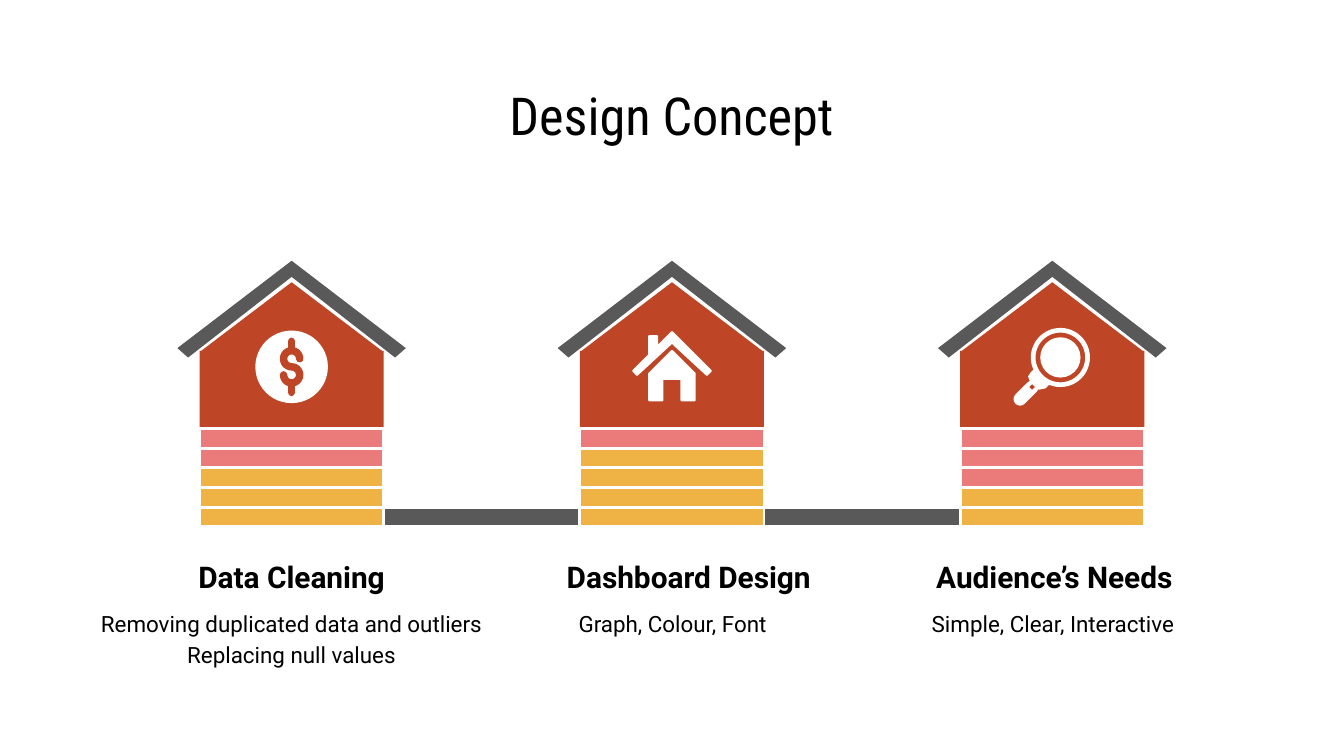
from math import cos, sin, radians
from pptx import Presentation
from pptx.util import Inches, Pt
from pptx.dml.color import RGBColor
from pptx.enum.shapes import MSO_SHAPE as Shape, MSO_CONNECTOR as Link
from pptx.enum.text import PP_ALIGN as Align, MSO_ANCHOR as Anchor
from pptx.oxml import parse_xml
from pptx.oxml.ns import nsdecls

THEME = {
    "white": "FFFFFF", "black": "000000", "gray": "595959",
    "rust": "BE4626", "gold": "EEB245", "pink": "EB7B7B",
    "font": "Roboto", "narrow": "Roboto Condensed",
    "title": 28, "head": 16, "body": 12, "rule": 1.5,
}
TITLE = "Design Concept"
HOUSES = [
    {"icon": "coin", "pink": 2, "head": "Data Cleaning", "head_box": (1.19, 1.96),
     "body": ["Removing duplicated data and outliers", "Replacing null values"],
     "body_box": (0.53, 3.28)},
    {"icon": "home", "pink": 1, "head": "Dashboard Design", "head_box": (4.02, 2.21),
     "body": ["Graph, Colour, Font"], "body_box": (3.53, 2.95)},
    {"icon": "lens", "pink": 3, "head": "Audience’s Needs", "head_box": (6.62, 2.45),
     "body": ["Simple, Clear, Interactive"], "body_box": (6.36, 2.95)},
]
MID, STEP = 5, 2.83
WALL, TOP, BASE, FLOORS = 1.37, 3.19, 3.92, 5
FLOOR = (BASE - TOP) / FLOORS
ROOF = [(0, 1.94), (-0.85, 2.59), (-0.77, 2.66), (0, 2.06), (0.77, 2.66), (0.85, 2.59)]
HOME = [
    [(0, 2.61), (0.17, 2.78), (0.17, 2.98), (0.07, 2.98), (0.07, 2.82),
     (-0.07, 2.82), (-0.07, 2.98), (-0.17, 2.98), (-0.17, 2.78)],
    [(0, 2.47), (0.29, 2.76), (0.26, 2.79), (0, 2.55), (-0.26, 2.79),
     (-0.29, 2.76), (-0.17, 2.64), (-0.17, 2.5), (-0.11, 2.5), (-0.11, 2.58)],
]
COLLAR = [(-0.14, 2.75), (-0.16, 2.77), (-0.18, 2.8), (-0.17, 2.83), (-0.1, 2.9),
          (-0.05, 2.89), (-0.01, 2.85)]


def tint(name):
    return RGBColor.from_string(THEME[name])


def paint(item, fill, line=None, width=THEME["rule"]):
    item.shadow.inherit = False
    if fill:
        item.fill.solid()
        item.fill.fore_color.rgb = tint(fill)
    else:
        item.fill.background()
    if line:
        item.line.color.rgb = tint(line)
        item.line.width = Pt(width)
    else:
        item.line.fill.background()


def form(shapes, kind, x, y, w, h, fill, line=None):
    item = shapes.add_shape(kind, *map(Inches, (x, y, w, h)))
    paint(item, fill, line)
    return item


def disc(shapes, x, y, r, fill, kind=Shape.OVAL):
    return form(shapes, kind, x - r, y - r, 2 * r, 2 * r, fill)


def curve(shapes, dots, x, fill, line=None, width=1, close=True):
    spots = [(Inches(x + dx), Inches(y)) for dx, y in dots]
    pen = shapes.build_freeform(*spots[0], scale=1)
    pen.add_line_segments(spots[1:], close=close)
    item = pen.convert_to_shape()
    paint(item, fill, line, width)
    if line:
        soften(item)


def soften(item):
    edge = item.line._get_or_add_ln()
    edge.set("cap", "rnd")
    edge.append(parse_xml(f"<a:round {nsdecls('a')}/>"))


def stroke(shapes, x1, y1, x2, y2, ink, width):
    item = shapes.add_connector(Link.STRAIGHT, *map(Inches, (x1, y1, x2, y2)))
    item.line.color.rgb = tint(ink)
    item.line.width = Pt(width)
    soften(item)
    item._element.spPr.append(parse_xml(f"<a:effectLst {nsdecls('a')}/>"))


def coin(shapes, x):
    disc(shapes, x, 2.73, 0.27, "white")
    bend = [(0.06 * cos(radians(a)), 2.67 - 0.06 * sin(radians(a))) for a in range(0, 271, 15)]
    bend += [(-dx, 5.46 - y) for dx, y in reversed(bend)]
    curve(shapes, bend, x, None, "rust", 4, False)
    for y in (2.54, 2.86):
        stroke(shapes, x, y, x, y + 0.06, "rust", 4)


def home(shapes, x):
    for part in HOME:
        curve(shapes, part, x, "white", "white")


def lens(shapes, x):
    hub = x + 0.06
    ring = disc(shapes, hub, 2.66, 0.22, "white", Shape.DONUT)
    ring.adjustments[0] = 0.08
    disc(shapes, hub, 2.66, 0.15, "white")
    curve(shapes, COLLAR, x, "white")
    stroke(shapes, x - 0.24, 2.97, x - 0.15, 2.88, "white", 7)
    disc(shapes, x - 0.15, 2.88, 0.02, "rust", Shape.DIAMOND)


def text(shapes, lines, x, y, w, h, size, font="font", bold=False, space=True):
    box = shapes.add_textbox(*map(Inches, (x, y, w, h)))
    frame = box.text_frame
    frame.word_wrap = True
    frame.margin_left = frame.margin_right = Inches(0.1)
    frame.margin_top = frame.margin_bottom = Inches(0.1)
    frame.text = "\n".join(lines)
    for para in frame.paragraphs:
        para.alignment = Align.CENTER
        if space:
            para.line_spacing = 1.15
        for run in para.runs:
            run.font.name = THEME[font]
            run.font.size = Pt(THEME[size])
            run.font.bold = bold
            run.font.color.rgb = tint("black")
    if space:
        para.space_after = Pt(16)
    return frame


def house(slide, data, x):
    shapes = slide.shapes.add_group_shape().shapes
    left = x - WALL / 2
    curve(shapes, ROOF, x, "gray")
    form(shapes, Shape.ISOSCELES_TRIANGLE, left, 2.1, WALL, 0.52, "rust")
    form(shapes, Shape.RECTANGLE, left, 2.61, WALL, 0.58, "rust")
    for i in reversed(range(FLOORS)):
        fill = "pink" if i < data["pink"] else "gold"
        form(shapes, Shape.RECTANGLE, left, TOP + i * FLOOR, WALL, FLOOR, fill, "white")
    ICONS[data["icon"]](shapes, x)


ICONS = {"coin": coin, "home": home, "lens": lens}


def main():
    deck = Presentation()
    deck.slide_width = Inches(10)
    deck.slide_height = Inches(10 * 9 / 16)
    slide = deck.slides.add_slide(deck.slide_layouts[6])
    shapes = slide.shapes
    form(shapes, Shape.RECTANGLE, 2.47, BASE - FLOOR, 4.89, FLOOR, "gray", "white")
    frame = text(shapes, [TITLE], 3.12, 0.59, 3.75, 0.53, "title", "narrow", space=False)
    frame.vertical_anchor = Anchor.MIDDLE
    for i, data in enumerate(HOUSES):
        house(slide, data, MID + (i - 1) * STEP)
        x, w = data["head_box"]
        text(shapes, [data["head"]], x, 4.02, w, 0.52, "head", bold=True)
        x, w = data["body_box"]
        text(shapes, data["body"], x, 4.41, w, 0.59, "body")
    deck.save("out.pptx")


if __name__ == "__main__":
    main()
